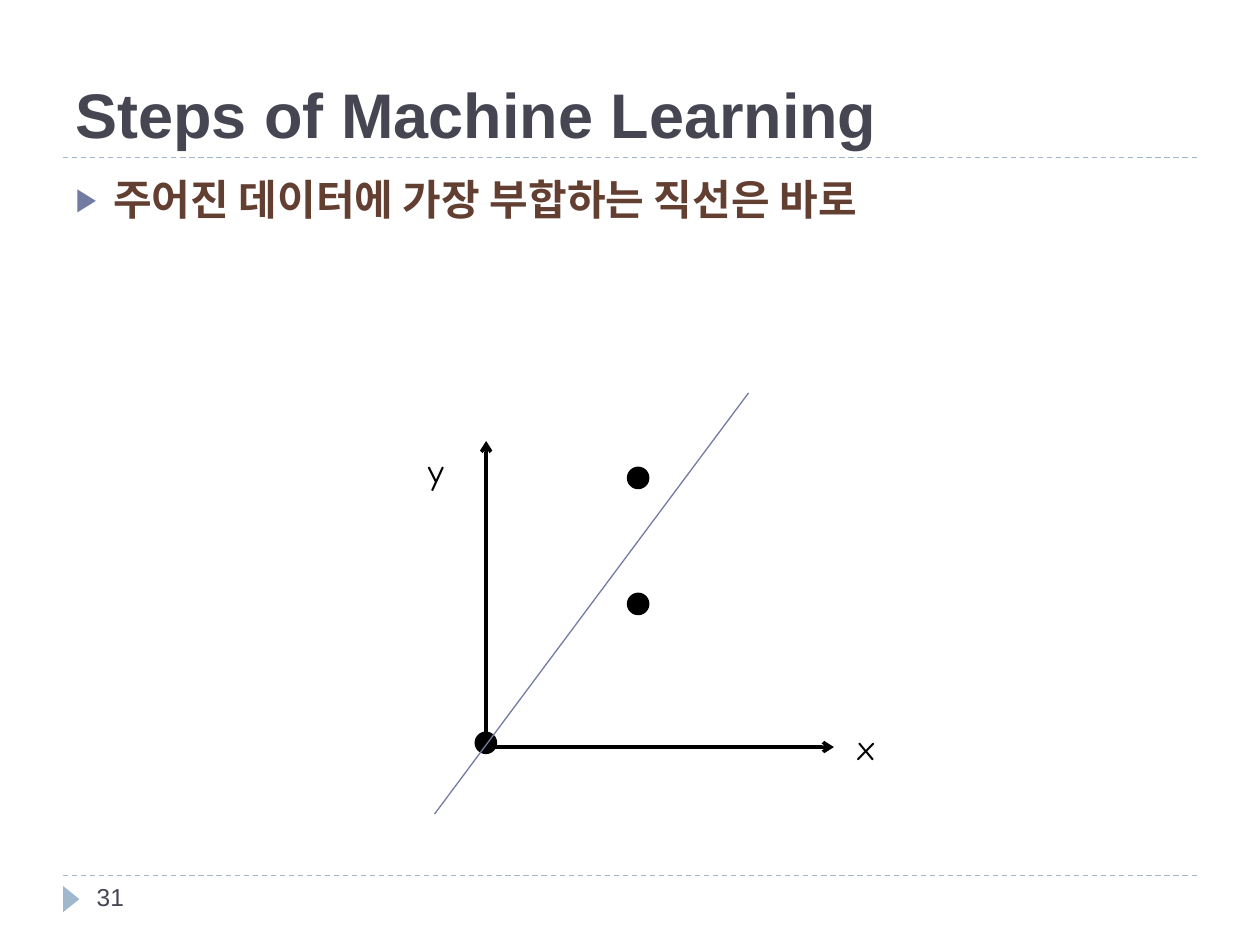
from lxml.etree import SubElement
from pptx import Presentation
from pptx.dml.color import RGBColor
from pptx.enum.dml import MSO_LINE_DASH_STYLE as DASH
from pptx.enum.shapes import MSO_CONNECTOR as CONN, MSO_SHAPE as SHAPE
from pptx.enum.text import MSO_ANCHOR as ANCHOR, MSO_AUTO_SIZE as FIT, PP_ALIGN as ALIGN
from pptx.oxml.ns import qn
from pptx.util import Cm, Pt

INK, BROWN, BLACK = "464653", "633F32", "000000"
PALE_BLUE, VIOLET = "9FB8CD", "727CA3"


def color(value):
    return RGBColor.from_string(value)


def place(sp, x, y, w, h):
    sp.left, sp.top, sp.width, sp.height = Cm(x), Cm(y), Cm(w), Cm(h)


def add_run(p, text, size, hue, font="Arial", bold=False):
    r = p.add_run()
    r.text = text
    r.font.name, r.font.size, r.font.bold = font, Pt(size), bold
    r.font.color.rgb = color(hue)


def add_text(s, text, box, size, hue, font="Arial", wrap=True):
    tf = s.shapes.add_textbox(*map(Cm, box)).text_frame
    tf.word_wrap = wrap
    tf.auto_size = FIT.NONE if wrap else FIT.SHAPE_TO_FIT_TEXT
    add_run(tf.paragraphs[0], text, size, hue, font)


def fill_placeholder(sp, box, anchor, text, size, hue):
    place(sp, *box)
    tf = sp.text_frame
    tf.word_wrap, tf.auto_size, tf.vertical_anchor = True, FIT.NONE, anchor
    p = tf.paragraphs[0]
    p.alignment, p.space_before = ALIGN.LEFT, Pt(0)
    add_run(p, text, size, hue, bold=True)
    return p


def add_bullet(p, char, hue, percent, indent):
    pPr = p._p.get_or_add_pPr()
    pPr.set("marL", str(Cm(indent)))
    pPr.set("indent", str(-Cm(indent)))
    clr = SubElement(pPr, qn("a:buClr"))
    SubElement(clr, qn("a:srgbClr"), val=hue)
    SubElement(pPr, qn("a:buSzPct"), val=str(percent * 1000))
    SubElement(pPr, qn("a:buFont"), typeface="Arial")
    SubElement(pPr, qn("a:buChar"), char=char)


def add_line(s, start, end, hue, width=0.75, dash=None, arrow=False):
    line = s.shapes.add_connector(CONN.STRAIGHT, *map(Cm, start + end))
    line.line.color.rgb, line.line.width = color(hue), Pt(width)
    if dash:
        line.line.dash_style = dash
    if arrow:
        SubElement(line.line._get_or_add_ln(), qn("a:tailEnd"), type="arrow")
    SubElement(line._element.spPr, qn("a:effectLst"))


def add_solid(s, kind, box, hue, outlined=False):
    sp = s.shapes.add_shape(kind, *map(Cm, box))
    sp.shadow.inherit = False
    sp.fill.solid()
    sp.fill.fore_color.rgb = color(hue)
    if outlined:
        sp.line.color.rgb, sp.line.width = color(hue), Pt(0.75)
    else:
        sp.line.fill.background()
    return sp


def add_frame(s):
    # Dashed rules, footer marker and page number
    for y in (17.65, 3.18):
        add_line(s, (1.27, y), (24.13, y), PALE_BLUE, dash=DASH.DASH)
    marker = add_solid(s, SHAPE.ISOSCELES_TRIANGLE, (1.17, 17.96, 0.53, 0.33), PALE_BLUE)
    marker.rotation = 90
    add_text(s, "31", (1.7, 17.65, 5.51, 1.02), 14, INK)


def add_plot(s):
    # Data points
    d = 0.43
    for x, y in ((9.58, 14.76), (12.65, 9.42), (12.65, 11.96)):
        add_solid(s, SHAPE.OVAL, (x, y, d, d), BLACK, outlined=True)
    # Axes with their labels
    origin = (9.8, 15.06)
    for tip in ((16.81, 15.06), (9.8, 8.89)):
        add_line(s, origin, tip, BLACK, width=2, arrow=True)
    for name, box in (("x", (17.04, 14.5, 0.94, 1.12)), ("y", (8.38, 8.94, 0.89, 1.12))):
        add_text(s, name, box, 20, BLACK, "Comic Neue", wrap=False)
    # Fitted line
    add_line(s, (8.76, 16.41), (15.09, 7.92), VIOLET)


def main():
    prs = Presentation()
    prs.slide_width, prs.slide_height = Cm(25.4), Cm(19.05)
    s = prs.slides.add_slide(prs.slide_layouts[1])
    add_frame(s)
    fill_placeholder(s.shapes.title, (1.27, 0.43, 22.86, 2.74), ANCHOR.BOTTOM,
                     "Steps of Machine Learning", 36, INK)
    p = fill_placeholder(s.placeholders[1], (1.27, 3.38, 22.86, 13.72), ANCHOR.TOP,
                         "주어진 데이터에 가장 부합하는 직선은 바로", 24, BROWN)
    add_bullet(p, "▶", VIOLET, 76, 0.76)
    add_plot(s)
    prs.save("out.pptx")


if __name__ == "__main__":
    main()
